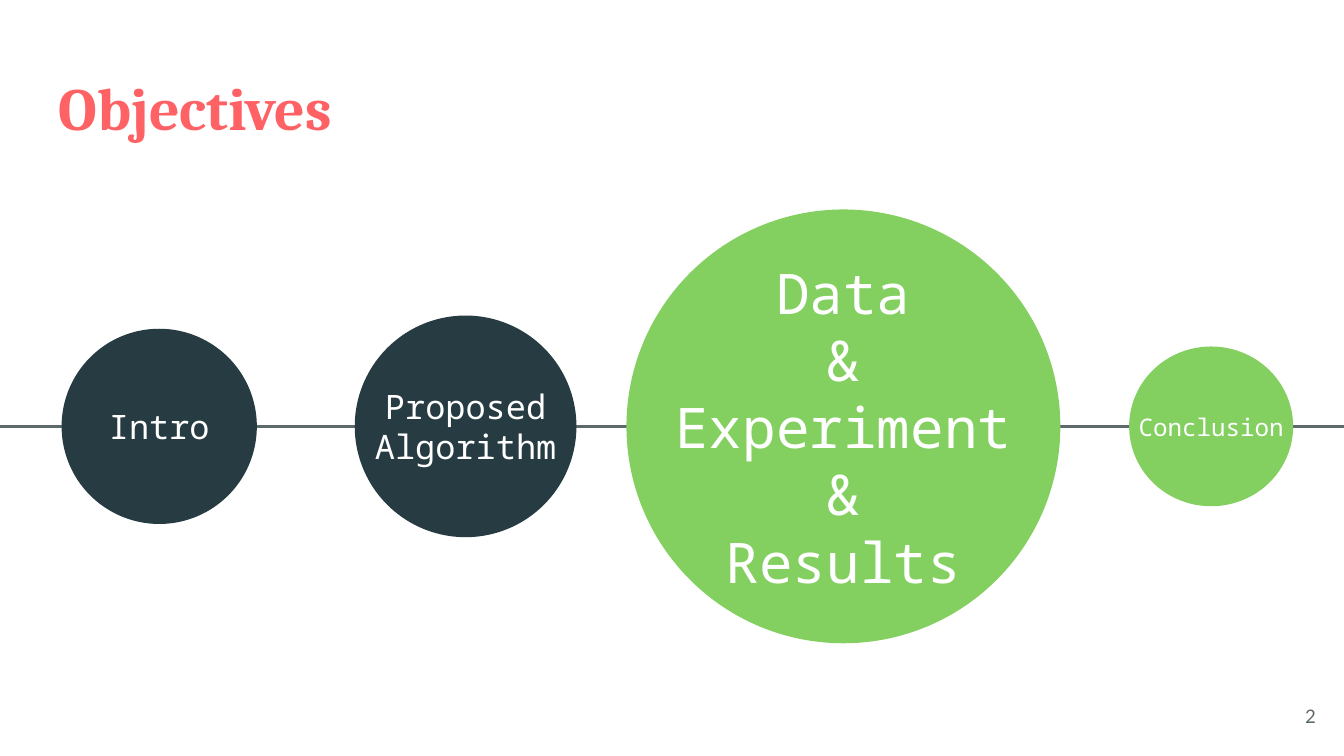
"""Build the objectives slide: four stages as circles along a horizontal line."""
from dataclasses import dataclass

import pptx
import pptx.dml.color
import pptx.enum.shapes
import pptx.enum.text
import pptx.oxml.ns
import pptx.util
from lxml import etree
from pptx.util import Cm

ALIGN = pptx.enum.text.PP_ALIGN
ANCHOR = pptx.enum.text.MSO_ANCHOR
DARK, GREEN, GREY, CORAL, WHITE = "273C42", "83D061", "5E696C", "FF6265", "FFFFFF"
AXIS = 8.06
LABEL_HEIGHT = 1.68


@dataclass(frozen=True)
class Stage:
    lines: tuple[str, ...]
    center: float
    width: float
    height: float
    label_width: float
    size: int
    fill: str


STAGES = (
    Stage(("Intro",), 3.01, 3.69, 3.69, 3.69, 18, DARK),
    Stage(("Data", "&", "Experiment", "&", "Results"), 15.94, 8.2, 8.2, 8.2, 30, GREEN),
    Stage(("Proposed Algorithm",), 8.8, 4.19, 4.19, 4.19, 18, DARK),
    Stage(("Conclusion",), 22.89, 3.1, 3.02, 3.33, 13, GREEN),
)


def color(value: str) -> pptx.dml.color.RGBColor:
    return pptx.dml.color.RGBColor.from_string(value)


def write(box, lines: tuple[str, ...], name: str, size: int, ink: str,
          align: ALIGN, anchor: ANCHOR, bold: bool = False) -> None:
    frame = box.text_frame
    frame_format = {
        "word_wrap": True,
        "auto_size": pptx.enum.text.MSO_AUTO_SIZE.NONE,
        "vertical_anchor": anchor,
        **{f"margin_{side}": Cm(0.25) for side in ("left", "right", "top", "bottom")},
    }
    for key, value in frame_format.items():
        setattr(frame, key, value)
    for index, line in enumerate(lines):
        para = frame.add_paragraph() if index else frame.paragraphs[0]
        para.alignment = align
        span = para.add_run()
        span.text = line
        span.font.color.rgb = color(ink)
        for key, value in {"name": name, "size": pptx.util.Pt(size), "bold": bold}.items():
            setattr(span.font, key, value)


def draw_axis(page) -> None:
    axis = page.shapes.add_connector(
        pptx.enum.shapes.MSO_CONNECTOR.STRAIGHT, Cm(0), Cm(AXIS), Cm(25.4), Cm(AXIS))
    axis.line.color.rgb = color(GREY)
    axis.line.width = pptx.util.Pt(1.5)
    properties = axis._element.find(pptx.oxml.ns.qn("p:spPr"))
    etree.SubElement(properties, pptx.oxml.ns.qn("a:effectLst"))


def draw_stage(page, stage: Stage) -> None:
    circle = page.shapes.add_shape(
        pptx.enum.shapes.MSO_SHAPE.OVAL,
        Cm(stage.center - stage.width / 2), Cm(AXIS - stage.height / 2),
        Cm(stage.width), Cm(stage.height))
    circle.shadow.inherit = False
    circle.fill.solid()
    circle.fill.fore_color.rgb = color(stage.fill)
    circle.line.fill.background()
    label = page.shapes.add_textbox(
        Cm(stage.center - stage.label_width / 2), Cm(AXIS - LABEL_HEIGHT / 2),
        Cm(stage.label_width), Cm(LABEL_HEIGHT))
    write(label, stage.lines, "Noto Sans Mono", stage.size, WHITE, ALIGN.CENTER, ANCHOR.MIDDLE)


def main() -> None:
    deck = pptx.Presentation()
    deck.slide_width, deck.slide_height = Cm(25.4), Cm(14.29)
    page = deck.slides.add_slide(deck.slide_layouts.get_by_name("Title Only"))
    page.background.fill.solid()
    page.background.fill.fore_color.rgb = color(WHITE)

    draw_axis(page)
    title = page.shapes.title
    place = {"left": 0.86, "top": 1.09, "width": 23.67, "height": 1.73}
    for key, value in place.items():
        setattr(title, key, Cm(value))
    write(title, ("Objectives",), "Cambria", 32, CORAL, ALIGN.LEFT, ANCHOR.TOP, bold=True)

    for stage in STAGES:
        draw_stage(page, stage)

    number = page.shapes.add_textbox(Cm(23.6), Cm(13), Cm(1.52), Cm(1.09))
    write(number, ("2",), "Lato", 10, GREY, ALIGN.RIGHT, ANCHOR.MIDDLE)
    deck.save("out.pptx")


if __name__ == "__main__":
    main()
